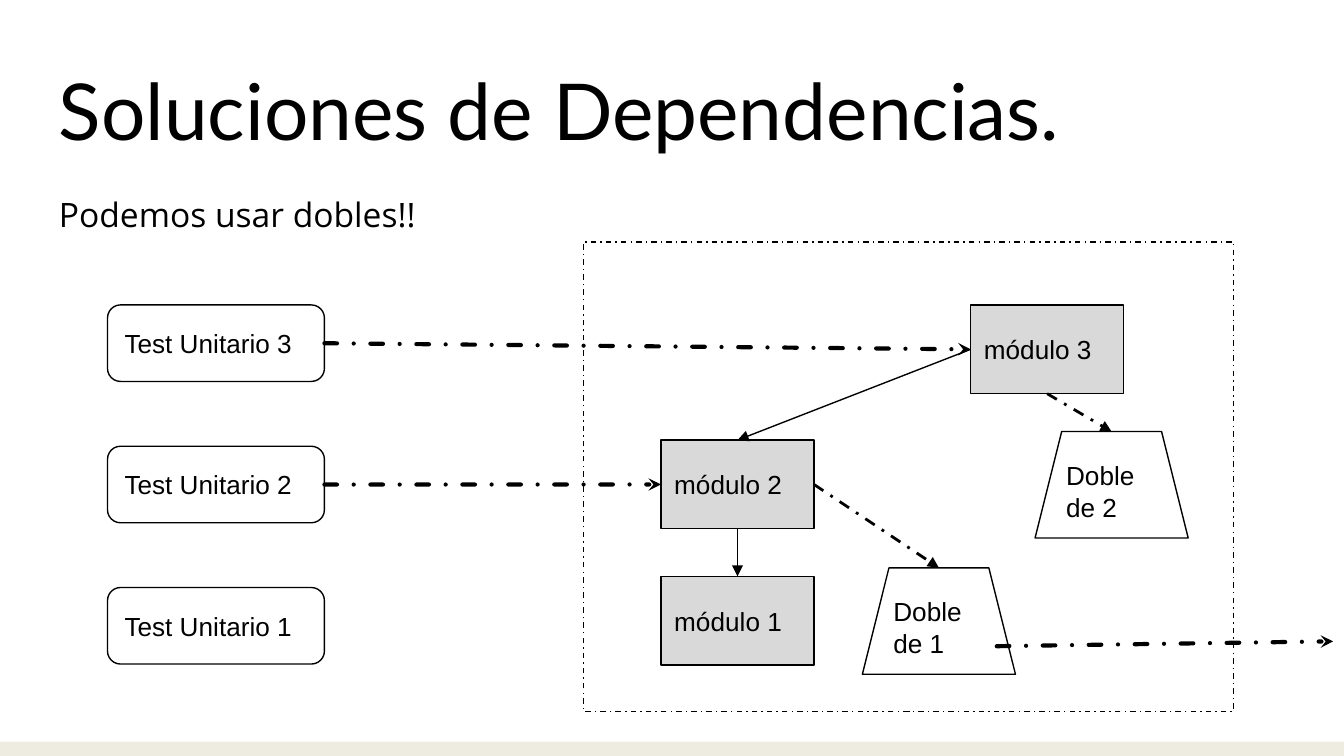
from lxml.etree import SubElement
from pptx import Presentation
from pptx.dml.color import RGBColor
from pptx.enum.dml import MSO_LINE
from pptx.enum.shapes import MSO_CONNECTOR, MSO_SHAPE
from pptx.enum.text import MSO_ANCHOR, PP_ALIGN
from pptx.oxml.ns import qn
from pptx.util import Pt

COLORS = {"ink": "000000", "module": "D9D9D9", "band": "EEECE1"}
TOP, LEFT, BOTTOM, RIGHT = range(4)
THIN, MEDIUM, THICK = 0.74, 1.5, 2.24


def color(name):
    return RGBColor.from_string(COLORS[name])


def write(shape, text, size, font, anchor):
    frame = shape.text_frame
    frame.word_wrap = True
    frame.vertical_anchor = anchor
    frame.margin_left = frame.margin_right = Pt(7.2)
    frame.margin_top = frame.margin_bottom = Pt(7.2)
    paragraph = frame.paragraphs[0]
    paragraph.text = text
    paragraph.alignment = PP_ALIGN.LEFT
    paragraph.font.size = Pt(size)
    paragraph.font.name = font
    paragraph.font.color.rgb = color("ink")


def add_text(slide, box, text, size, font, anchor):
    write(slide.shapes.add_textbox(*map(Pt, box)), text, size, font, anchor)


def add_box(slide, kind, box, text="", fill=None, outlined=True):
    shape = slide.shapes.add_shape(kind, *map(Pt, box))
    shape.shadow.inherit = False
    if fill:
        shape.fill.solid()
        shape.fill.fore_color.rgb = color(fill)
    else:
        shape.fill.background()
    if outlined:
        shape.line.color.rgb = color("ink")
        shape.line.width = Pt(THIN)
    else:
        shape.line.fill.background()
    if text:
        write(shape, text, 14, "Arial", MSO_ANCHOR.MIDDLE)
    return shape


def add_arrow(slide, start, end, width=THIN, head="triangle", points=(0, 0, 0, 0)):
    connector = slide.shapes.add_connector(MSO_CONNECTOR.STRAIGHT, *map(Pt, points))
    if start:
        connector.begin_connect(*start)
    if end:
        connector.end_connect(*end)
    connector.line.color.rgb = color("ink")
    connector.line.width = Pt(width)
    if width > THIN:
        connector.line.dash_style = MSO_LINE.DASH_DOT
    line = connector.line._get_or_add_ln()
    if width == THICK:
        line.set("cap", "rnd")
    SubElement(line, qn("a:tailEnd"), type=head)
    SubElement(connector._element.spPr, qn("a:effectLst"))


def add_heading(slide, box):
    left, top, width, height = box
    add_text(slide, (left, top, width, 65.5), "Soluciones de Dependencias.",
             42, "Lato", MSO_ANCHOR.BOTTOM)
    add_text(slide, (left, top + 71.3, width, height - 71.3), "Podemos usar dobles!!",
             18, "Open Sans", MSO_ANCHOR.TOP)


def add_tests(slide, box):
    left, top, width, height = box
    box_height = 41
    step = (height - box_height) / 2
    tests = {}
    for row, number in enumerate((3, 2, 1)):
        test = add_box(slide, MSO_SHAPE.ROUNDED_RECTANGLE,
                       (left, top + row * step, width, box_height),
                       f"Test Unitario {number}")
        test.adjustments[0] = 0.17
        tests[number] = test
    return tests


def add_modules(slide, box):
    left, top, width, height = box
    frame = add_box(slide, MSO_SHAPE.RECTANGLE, box)
    frame.line.dash_style = MSO_LINE.DASH_DOT
    modules = {
        number: add_box(slide, MSO_SHAPE.RECTANGLE, (left + x, top + y, 82, 47.5),
                        f"módulo {number}", "module")
        for number, x, y in ((3, 207.5, 33.8), (2, 41.6, 106.2), (1, 41.6, 179.2))
    }
    doubles = {
        number: add_box(slide, MSO_SHAPE.TRAPEZOID, (left + x, top + y, 82, 57),
                        f"Doble de {number}")
        for number, x, y in ((2, 242, 101.6), (1, 149.5, 174.6))
    }
    add_arrow(slide, (modules[3], LEFT), (modules[2], TOP))
    add_arrow(slide, (modules[2], BOTTOM), (modules[1], TOP))
    add_arrow(slide, (modules[3], BOTTOM), (doubles[2], TOP), MEDIUM)
    add_arrow(slide, (modules[2], RIGHT), (doubles[1], TOP), MEDIUM)
    add_arrow(slide, None, None, THICK, "stealth",
              (left + 221.5, top + 216.6, left + 401.7, top + 214))
    return modules


presentation = Presentation()
presentation.slide_width = Pt(720)
presentation.slide_height = Pt(405)
slide = presentation.slides.add_slide(presentation.slide_layouts[6])
add_box(slide, MSO_SHAPE.RECTANGLE, (0, 397.4, 720, 7.6), fill="band", outlined=False)
add_heading(slide, (24.5, 25.2, 671, 131.8))
modules = add_modules(slide, (312.5, 129.6, 348.5, 251.5))
tests = add_tests(slide, (57.6, 163.4, 116.2, 192.4))
for number in (2, 3):
    add_arrow(slide, (tests[number], RIGHT), (modules[number], LEFT), THICK, "stealth")
presentation.save("out.pptx")
